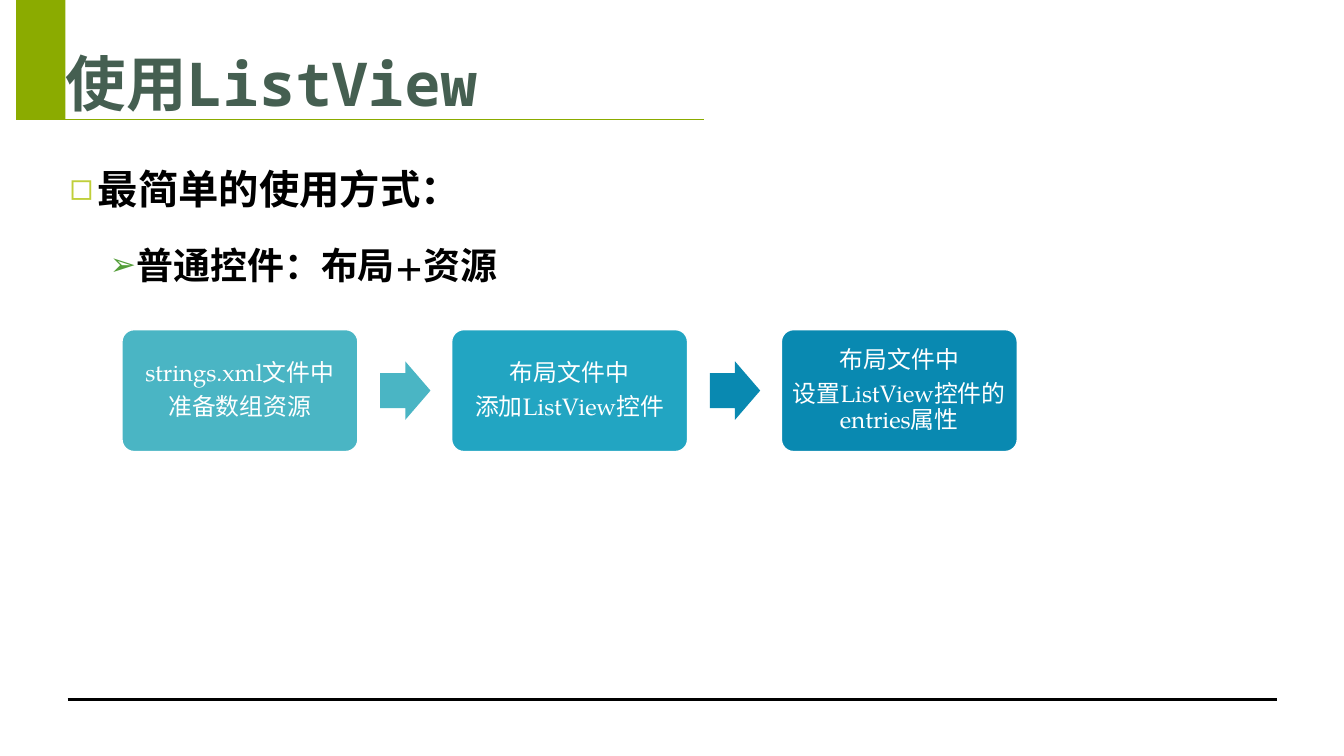
from dataclasses import dataclass

from lxml import etree
from pptx import Presentation
from pptx.dml.color import RGBColor
from pptx.enum.lang import MSO_LANGUAGE_ID
from pptx.enum.shapes import MSO_CONNECTOR, MSO_SHAPE
from pptx.enum.text import MSO_ANCHOR, MSO_AUTO_SIZE, PP_ALIGN
from pptx.oxml.ns import qn
from pptx.util import Inches, Pt

RECTANGLE = MSO_SHAPE.RECTANGLE
ROUNDED = MSO_SHAPE.ROUNDED_RECTANGLE
RIGHT_ARROW = MSO_SHAPE.RIGHT_ARROW
STRAIGHT = MSO_CONNECTOR.STRAIGHT
LEFT, CENTER = PP_ALIGN.LEFT, PP_ALIGN.CENTER
TOP, MIDDLE, BOTTOM = MSO_ANCHOR.TOP, MSO_ANCHOR.MIDDLE, MSO_ANCHOR.BOTTOM
NO_AUTOFIT = MSO_AUTO_SIZE.NONE
CHINESE = MSO_LANGUAGE_ID.SIMPLIFIED_CHINESE

SERIF, MONO = "TeX Gyre Pagella", "Noto Sans Mono"
COLORS = {
    "black": "000000",
    "white": "FFFFFF",
    "accent": "8BAB00",
    "title": "455F51",
    "square": "C0CF3A",
    "chevron": "549E39",
    "aqua": "4AB5C4",
    "cyan": "22A5C2",
    "blue": "0989B1",
}

STEP_LEFT, STEP_TOP, STEP_WIDTH, STEP_HEIGHT = 1.21, 3.27, 2.34, 1.21
STEP_PITCH = 3.27
ARROW_WIDTH, ARROW_HEIGHT, ARROW_GAP = 0.5, 0.58, 0.22


@dataclass
class Bullet:
    text: str
    level: int
    size: float
    margin: float
    hanging: float
    mark: str
    mark_color: str
    mark_percent: int
    before: float


@dataclass
class Step:
    lines: list[str]
    color: str
    arrow_color: str | None = None


@dataclass
class Rule:
    left: float
    right: float
    y: float
    color: str
    width: float


BULLETS = [
    Bullet("最简单的使用方式：", 0, 28.8, 0.28, 0.28, "◻", "square", 95, 0),
    Bullet("普通控件：布局+资源", 1, 26.4, 0.65, 0.25, "➢", "chevron", 85, 5.3),
]
STEPS = [
    Step(["strings.xml文件中", "准备数组资源"], "aqua", "aqua"),
    Step(["布局文件中", "添加ListView控件"], "cyan", "blue"),
    Step(["布局文件中", "设置ListView控件的entries属性"], "blue"),
]
RULES = [
    Rule(0.67, 12.67, 6.94, "black", 2.25),
    Rule(0.61, 6.98, 1.18, "accent", 0.5),
]


def rgb(name: str) -> RGBColor:
    return RGBColor.from_string(COLORS[name])


def place(box, left: float, top: float, width: float, height: float) -> None:
    box.left, box.top = Inches(left), Inches(top)
    box.width, box.height = Inches(width), Inches(height)


def set_frame(frame, insets: tuple[float, float, float, float], anchor) -> None:
    frame.word_wrap = True
    frame.auto_size = NO_AUTOFIT
    frame.vertical_anchor = anchor
    frame.margin_left, frame.margin_top, frame.margin_right, frame.margin_bottom = map(Inches, insets)


def write(para, text: str, *, size: float, font: str = SERIF, color: str = "black",
          bold: bool = False, align=LEFT, spacing: float = 1.0,
          before: float = 0, after: float = 0) -> None:
    para.alignment = align
    para.line_spacing = spacing
    para.space_before, para.space_after = Pt(before), Pt(after)
    span = para.add_run()
    span.text = text
    span.font.name = font
    span.font.size = Pt(size)
    span.font.bold = bold
    span.font.color.rgb = rgb(color)
    span.font.language_id = CHINESE


def paragraph_at(frame, index: int):
    return frame.paragraphs[0] if index == 0 else frame.add_paragraph()


def add_mark(para, bullet: Bullet) -> None:
    properties = para._p.get_or_add_pPr()
    properties.set("marL", str(Inches(bullet.margin)))
    properties.set("indent", str(-Inches(bullet.hanging)))
    mark_color = etree.SubElement(properties, qn("a:buClr"))
    etree.SubElement(mark_color, qn("a:srgbClr"), val=COLORS[bullet.mark_color])
    etree.SubElement(properties, qn("a:buSzPct"), val=str(bullet.mark_percent * 1000))
    etree.SubElement(properties, qn("a:buChar"), char=bullet.mark)


def add_block(page, kind, left: float, top: float, width: float, height: float,
              color: str, adjustments: tuple[float, ...] = ()):
    block = page.shapes.add_shape(kind, Inches(left), Inches(top), Inches(width), Inches(height))
    block.shadow.inherit = False
    block.fill.solid()
    block.fill.fore_color.rgb = rgb(color)
    block.line.fill.background()
    for index, value in enumerate(adjustments):
        block.adjustments[index] = value
    return block


def add_rule(page, rule: Rule) -> None:
    line = page.shapes.add_connector(STRAIGHT, Inches(rule.left), Inches(rule.y),
                                     Inches(rule.right), Inches(rule.y))
    line.line.color.rgb = rgb(rule.color)
    line.line.width = Pt(rule.width)
    etree.SubElement(line._element.spPr, qn("a:effectLst"))


def add_step(page, step: Step, left: float) -> None:
    box = add_block(page, ROUNDED, left, STEP_TOP, STEP_WIDTH, STEP_HEIGHT, step.color, (0.1,))
    box.line.color.rgb = rgb("white")
    box.line.width = Pt(1)
    set_frame(box.text_frame, (0.07, 0.07, 0.07, 0.07), MIDDLE)
    for index, text in enumerate(step.lines):
        write(paragraph_at(box.text_frame, index), text, size=17, color="white",
              align=CENTER, spacing=0.9, after=6)
    if step.arrow_color:
        add_block(page, RIGHT_ARROW, left + STEP_WIDTH + ARROW_GAP,
                  STEP_TOP + (STEP_HEIGHT - ARROW_HEIGHT) / 2,
                  ARROW_WIDTH, ARROW_HEIGHT, step.arrow_color, (0.6, 0.5))


def main() -> None:
    deck = Presentation()
    deck.slide_width, deck.slide_height = Inches(13.33), Inches(7.5)
    page = deck.slides.add_slide(deck.slide_layouts[1])

    add_block(page, RECTANGLE, 0.16, 0, 0.49, 1.19, "accent")
    for rule in RULES:
        add_rule(page, rule)

    title = page.shapes.title
    place(title, 0.65, -0.07, 12, 1.25)
    set_frame(title.text_frame, (0, 0.04, 0, 0), BOTTOM)
    write(title.text_frame.paragraphs[0], "使用ListView", size=43.2, font=MONO,
          color="title", bold=True)

    body = page.placeholders[1]
    place(body, 0.61, 1.35, 12, 5.6)
    set_frame(body.text_frame, (0.08, 0.04, 0.08, 0.04), TOP)
    for index, bullet in enumerate(BULLETS):
        para = paragraph_at(body.text_frame, index)
        para.level = bullet.level
        add_mark(para, bullet)
        write(para, bullet.text, size=bullet.size, bold=True, spacing=1.5, before=bullet.before)

    for index, step in enumerate(STEPS):
        add_step(page, step, STEP_LEFT + index * STEP_PITCH)

    deck.save("out.pptx")


if __name__ == "__main__":
    main()
